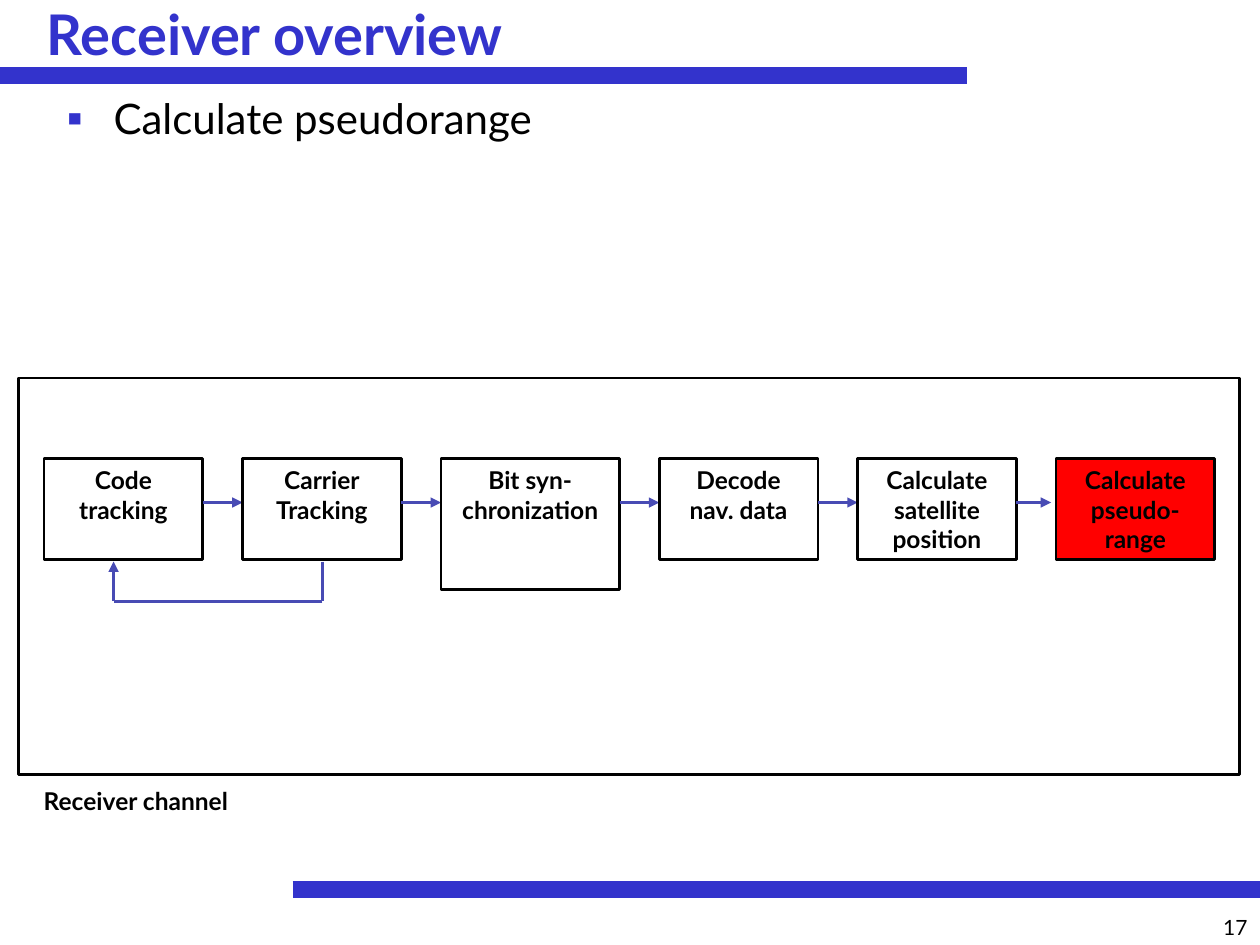
import pptx
import pptx.util
import pptx.dml.color
import pptx.enum.shapes
import pptx.enum.text
import pptx.oxml.ns
import lxml.etree

Cm = pptx.util.Cm
ALIGN = pptx.enum.text.PP_ALIGN
ANCHOR = pptx.enum.text.MSO_ANCHOR
BLUE, ARROW_BLUE, BLACK, WHITE, RED = "3333CC", "484BB4", "000000", "FFFFFF", "FF0000"


def color(hex_string):
    return pptx.dml.color.RGBColor.from_string(hex_string)


def add_xml(parent, tag, **attributes):
    element = lxml.etree.SubElement(parent, pptx.oxml.ns.qn(tag))
    for name, value in attributes.items():
        element.set(name, value)
    return element


def write(shape, text, size, bold=False, font_color=BLACK, align=ALIGN.LEFT,
          anchor=ANCHOR.TOP, wrap=True):
    frame = shape.text_frame
    frame.text = text
    frame.word_wrap = wrap
    frame.auto_size = pptx.enum.text.MSO_AUTO_SIZE.NONE
    frame.vertical_anchor = anchor
    frame.margin_left = frame.margin_right = Cm(0.25)
    frame.margin_top = frame.margin_bottom = Cm(0.13)
    for paragraph in frame.paragraphs:
        paragraph.alignment = align
        for run in paragraph.runs:
            run.font.name = "Lato"
            run.font.size = pptx.util.Pt(size)
            run.font.bold = bold
            run.font.color.rgb = color(font_color)


def add_text(slide, box, text, size, **style):
    shape = slide.shapes.add_textbox(*map(Cm, box))
    write(shape, text, size, **style)
    return shape


def add_rectangle(slide, box, fill=None):
    shape = slide.shapes.add_shape(
        pptx.enum.shapes.MSO_SHAPE.RECTANGLE, *map(Cm, box))
    shape.shadow.inherit = False
    shape.line.color.rgb = color(BLACK)
    shape.line.width = pptx.util.Pt(1.5)
    if fill:
        shape.fill.solid()
        shape.fill.fore_color.rgb = color(fill)
    else:
        shape.fill.background()
    return shape


def add_line(slide, start, end, line_color=ARROW_BLUE, width=1.5, arrow=False):
    line = slide.shapes.add_connector(
        pptx.enum.shapes.MSO_CONNECTOR.STRAIGHT, *map(Cm, (*start, *end)))
    line.line.color.rgb = color(line_color)
    line.line.width = pptx.util.Pt(width)
    if arrow:
        add_xml(line.line._get_or_add_ln(), "a:tailEnd", type="triangle")
    add_xml(line._element.spPr, "a:effectLst")


def add_bars(slide, left, top, right, bottom):
    add_line(slide, (left, top), (left + 19.5, top), BLUE, 10)
    add_line(slide, (left + 5.9, bottom), (right, bottom), BLUE, 10)


def add_title(slide, box, text):
    title = slide.shapes.title
    title.left, title.top, title.width, title.height = map(Cm, box)
    write(title, text, 32, bold=True, font_color=BLUE, anchor=ANCHOR.MIDDLE)


def add_bullet(slide, box, text):
    shape = add_text(slide, box, text, 24)
    paragraph = shape.text_frame.paragraphs[0]
    paragraph.space_before = pptx.util.Pt(6)
    properties = paragraph._p.get_or_add_pPr()
    properties.set("marL", str(Cm(0.95)))
    properties.set("indent", str(Cm(-0.95)))
    add_xml(add_xml(properties, "a:buClr"), "a:srgbClr", val=BLUE)
    add_xml(properties, "a:buFont", typeface="Lato")
    add_xml(properties, "a:buChar", char="▪")


def add_receiver_channel(slide, left, top, width, height):
    # Processing stages: text, width, height, fill
    stages = [
        ("Code tracking", 3.2, 2.03, None),
        ("Carrier\nTracking", 3.2, 2.03, None),
        ("Bit syn-chronization", 3.6, 2.64, WHITE),
        ("Decode\nnav. data", 3.2, 2.03, WHITE),
        ("Calculate\nsatellite position", 3.2, 2.03, WHITE),
        ("Calculate\npseudo-range", 3.2, 2.03, RED),
    ]
    gap = 0.8
    stage_left, stage_top = left + 0.51, top + 1.63
    arrow_y = stage_top + 0.88
    for index, (text, stage_width, stage_height, fill) in enumerate(stages):
        stage = add_rectangle(
            slide, (stage_left, stage_top, stage_width, stage_height), fill)
        write(stage, text, 14, bold=True, align=ALIGN.CENTER)
        stage_right = stage_left + stage_width
        stage_left = stage_right + gap
        if index < len(stages) - 1:
            # The arrow to the last stage stops just short of it
            short = 0.1 if index == len(stages) - 2 else 0
            add_line(slide, (stage_right, arrow_y),
                     (stage_left - short, arrow_y), arrow=True)

    # Feedback from carrier tracking to code tracking
    feedback = [(left + x, top + y) for x, y in
                ((6.12, 3.7), (6.12, 4.5), (1.91, 4.5), (1.91, 3.7))]
    for start, end in zip(feedback, feedback[1:]):
        add_line(slide, start, end, arrow=end == feedback[-1])

    # Frame and caption
    add_rectangle(slide, (left, top, width, height))
    add_text(slide, (left, top + height + 0.1, 4.72, 0.86), "Receiver channel",
             14, bold=True, align=ALIGN.CENTER, wrap=False)


def main():
    presentation = pptx.Presentation()
    presentation.slide_width, presentation.slide_height = Cm(25.4), Cm(19.05)
    slide = presentation.slides.add_slide(presentation.slide_layouts[5])

    add_bars(slide, 0, 1.52, 25.4, 17.93)
    add_title(slide, (0.69, 0.13, 18.8, 1.09), "Receiver overview")
    add_bullet(slide, (1.09, 1.73, 24.31, 16), "Calculate pseudorange")
    add_receiver_channel(slide, 0.38, 7.62, 24.61, 8)
    # Page number
    add_text(slide, (19.28, 18.31, 6.12, 0.71), "17", 12, align=ALIGN.RIGHT)

    presentation.save("out.pptx")


if __name__ == "__main__":
    main()
